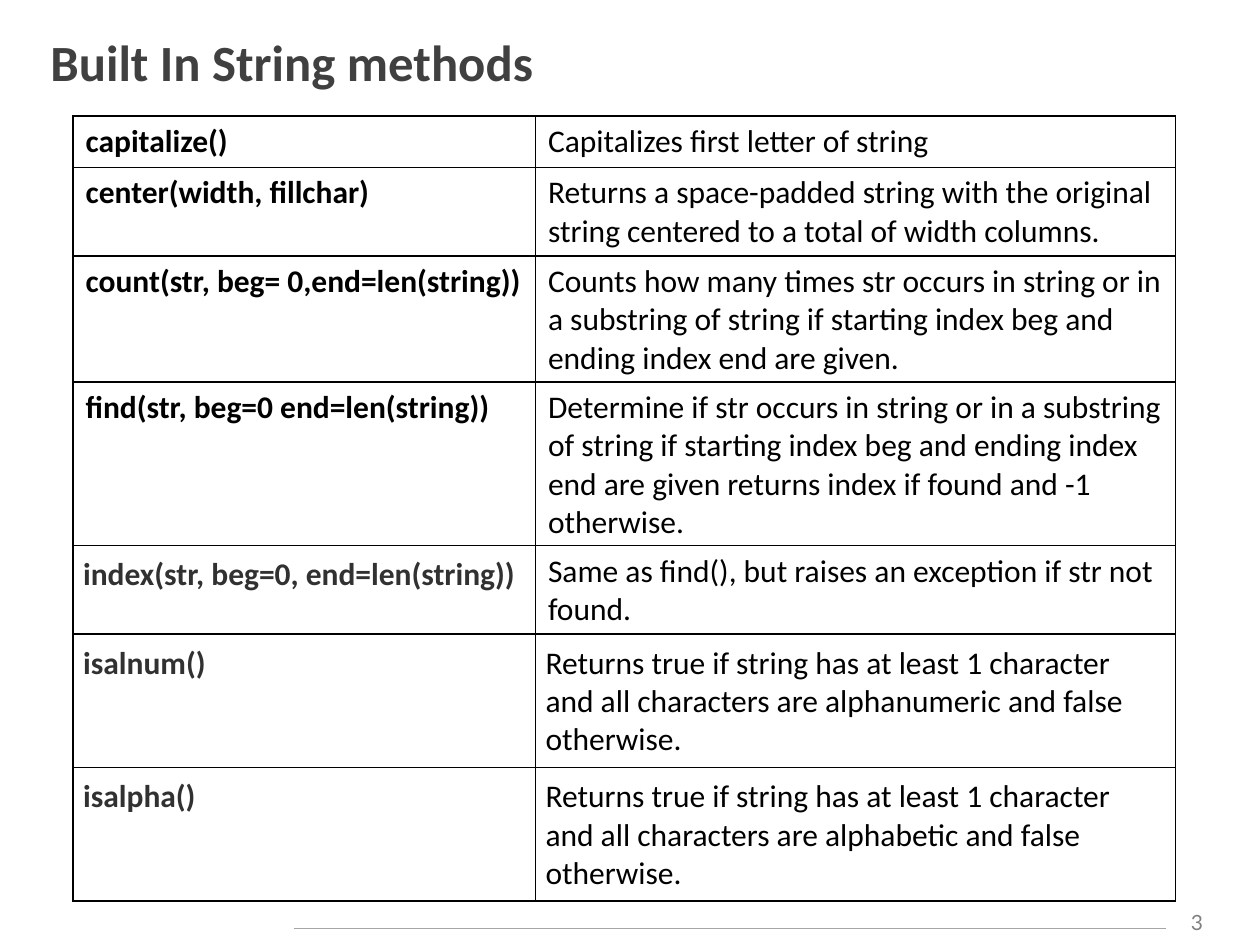
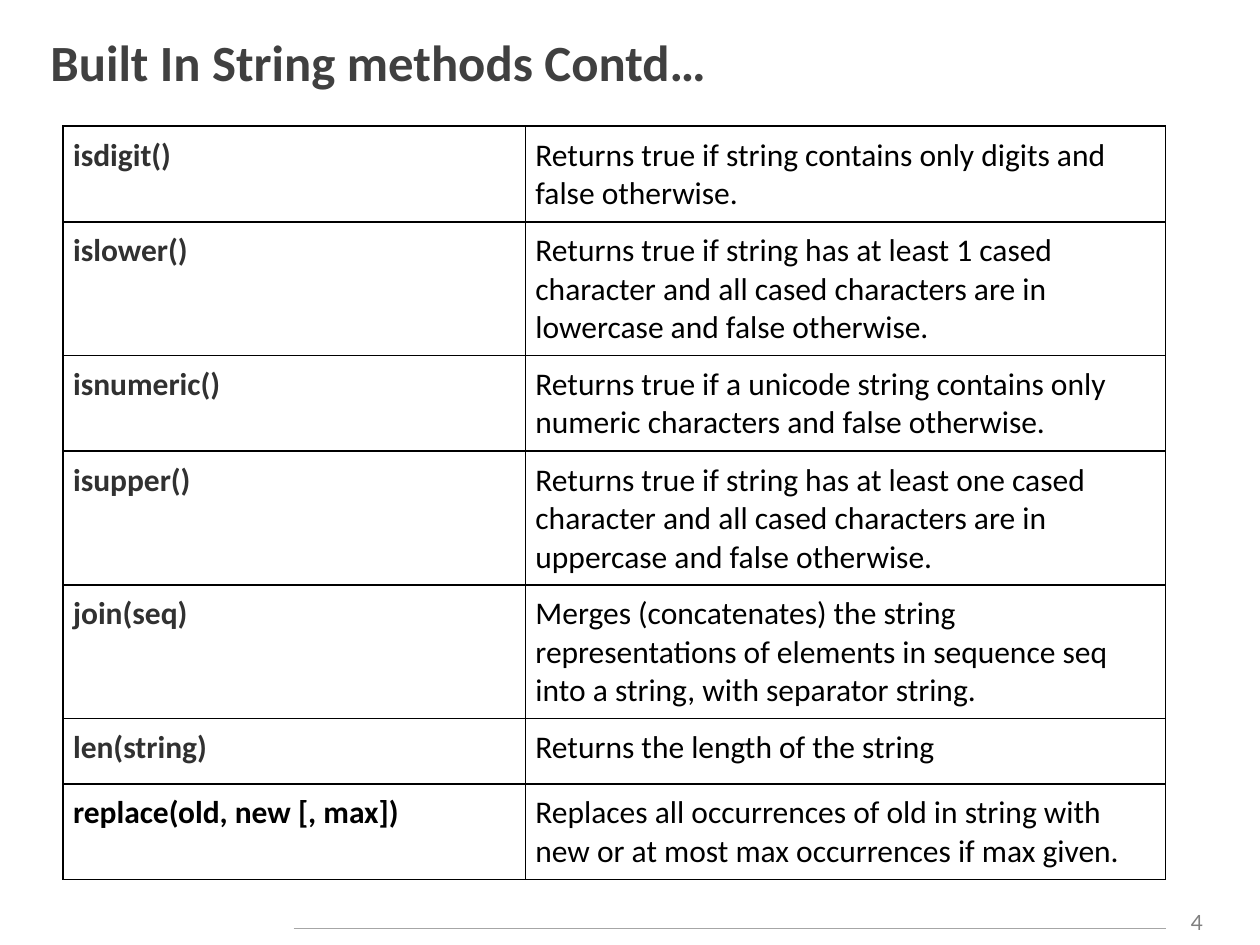
from lxml import etree
from pptx import Presentation
from pptx import util as u
from pptx.dml.color import RGBColor
from pptx.enum import shapes, text
from pptx.oxml.ns import qn

Inches, Pt = u.Inches, u.Pt

COLORS = {
    "title": "404040",
    "black": "000000",
    "charcoal": "313131",
    "rule": "A6A6A6",
    "number": "808080",
}
BODY_FONT, NUMBER_FONT = "Calibri", "Lato"
COLUMN_WIDTHS = (3.67, 5.08)
ROW_HEIGHT = 0.41
CELL_PADDING = 0.08

# Cell styles: (text colour, has even padding, alignment)
PLAIN = ("black", False, None)
PADDED = ("black", True, None)
CHARCOAL = ("charcoal", True, None)
JUSTIFIED = ("charcoal", True, text.PP_ALIGN.JUSTIFY)

# Rows: (method, description, method style, description style)
SLIDES = [
    {
        "number": 3,
        "title": "Built In String methods",
        "table_at": (0.58, 0.92),
        "tall_rows": {},
        "rows": [
            ("capitalize()", "Capitalizes first letter of string", PLAIN, PLAIN),
            ("center(width, fillchar)",
             "Returns a space-padded string with the original string centered "
             "to a total of width columns.", PLAIN, PLAIN),
            ("count(str, beg= 0,end=len(string))",
             "Counts how many times str occurs in string or in a substring of "
             "string if starting index beg and ending index end are given.",
             PLAIN, PLAIN),
            ("find(str, beg=0 end=len(string))",
             "Determine if str occurs in string or in a substring of string if "
             "starting index beg and ending index end are given returns index "
             "if found and -1 otherwise.", PLAIN, PLAIN),
            ("index(str, beg=0, end=len(string))",
             "Same as find(), but raises an exception if str not found.",
             JUSTIFIED, PLAIN),
            ("isalnum()",
             "Returns true if string has at least 1 character and all "
             "characters are alphanumeric and false otherwise.",
             CHARCOAL, PADDED),
            ("isalpha()",
             "Returns true if string has at least 1 character and all "
             "characters are alphabetic and false otherwise.",
             CHARCOAL, PADDED),
        ],
    },
    {
        "number": 4,
        "title": "Built In String methods Contd…",
        "table_at": (0.5, 1),
        "tall_rows": {5: 0.52},
        "rows": [
            ("isdigit()",
             "Returns true if string contains only digits and false otherwise.",
             CHARCOAL, PADDED),
            ("islower()",
             "Returns true if string has at least 1 cased character and all "
             "cased characters are in lowercase and false otherwise.",
             CHARCOAL, PADDED),
            ("isnumeric()",
             "Returns true if a unicode string contains only numeric "
             "characters and false otherwise.", CHARCOAL, PADDED),
            ("isupper()",
             "Returns true if string has at least one cased character and all "
             "cased characters are in uppercase and false otherwise.",
             CHARCOAL, PADDED),
            ("join(seq)",
             "Merges (concatenates) the string representations of elements in "
             "sequence seq into a string, with separator string.",
             CHARCOAL, PADDED),
            ("len(string)", "Returns the length of the string",
             CHARCOAL, PADDED),
            ("replace(old, new [, max])",
             "Replaces all occurrences of old in string with new or at most "
             "max occurrences if max given.", PADDED, PADDED),
        ],
    },
]


def color(name):
    return RGBColor.from_string(COLORS[name])


def format_font(paragraph, size, color_name, bold=False, name=BODY_FONT):
    font = paragraph.font
    font.name, font.size, font.bold = name, Pt(size), bold
    font.color.rgb = color(color_name)


def add_title(slide, title):
    shape = slide.shapes.title
    shape.left, shape.top = Inches(0.3), Inches(0.17)
    shape.width, shape.height = Inches(9.36), Inches(0.63)
    frame = shape.text_frame
    frame.text = title
    frame.auto_size = text.MSO_AUTO_SIZE.NONE
    frame.vertical_anchor = text.MSO_ANCHOR.MIDDLE
    frame.paragraphs[0].alignment = text.PP_ALIGN.LEFT
    format_font(frame.paragraphs[0], 29, "title", bold=True)


def add_footer(slide, number):
    rule = slide.shapes.add_connector(
        shapes.MSO_CONNECTOR.STRAIGHT,
        Inches(2.33), Inches(7.37), Inches(9.25), Inches(7.37))
    rule.line.color.rgb = color("rule")
    rule.line.width = Pt(0.75)
    etree.SubElement(rule.element.spPr, qn("a:effectLst"))

    box = slide.shapes.add_textbox(
        Inches(9.25), Inches(7.17), Inches(0.5), Inches(0.3))
    frame = box.text_frame
    frame.word_wrap = True
    frame.text = str(number)
    frame.paragraphs[0].alignment = text.PP_ALIGN.CENTER
    format_font(frame.paragraphs[0], 12, "number", name=NUMBER_FONT)


def add_borders(cell):
    properties = cell._tc.get_or_add_tcPr()
    for side in ("a:lnL", "a:lnR", "a:lnT", "a:lnB"):
        line = etree.SubElement(properties, qn(side), w=str(Pt(1)))
        fill = etree.SubElement(line, qn("a:solidFill"))
        etree.SubElement(fill, qn("a:srgbClr"), val=COLORS["black"])


def fill_cell(cell, content, style, bold):
    color_name, padded, alignment = style
    cell.text = content
    paragraph = cell.text_frame.paragraphs[0]
    paragraph.alignment = alignment
    format_font(paragraph, 18, color_name, bold)
    if padded:
        cell.margin_left = cell.margin_right = Inches(CELL_PADDING)
        cell.margin_top = cell.margin_bottom = Inches(CELL_PADDING)
    add_borders(cell)
    cell.fill.background()


def add_method_table(slide, rows, table_at, tall_rows):
    left, top = table_at
    table = slide.shapes.add_table(
        len(rows), len(COLUMN_WIDTHS), Inches(left), Inches(top),
        Inches(sum(COLUMN_WIDTHS)), Inches(ROW_HEIGHT * len(rows))).table
    table.first_row = table.horz_banding = False
    for column, width in zip(table.columns, COLUMN_WIDTHS):
        column.width = Inches(width)
    for index, (method, description, method_style, description_style) in enumerate(rows):
        table.rows[index].height = Inches(tall_rows.get(index, ROW_HEIGHT))
        fill_cell(table.cell(index, 0), method, method_style, bold=True)
        fill_cell(table.cell(index, 1), description, description_style, bold=False)


def main():
    presentation = Presentation()
    presentation.slide_width, presentation.slide_height = Inches(10), Inches(7.5)
    title_only = presentation.slide_layouts[5]
    for content in SLIDES:
        slide = presentation.slides.add_slide(title_only)
        add_footer(slide, content["number"])
        add_title(slide, content["title"])
        add_method_table(slide, content["rows"], content["table_at"], content["tall_rows"])
    presentation.save("out.pptx")


if __name__ == "__main__":
    main()
